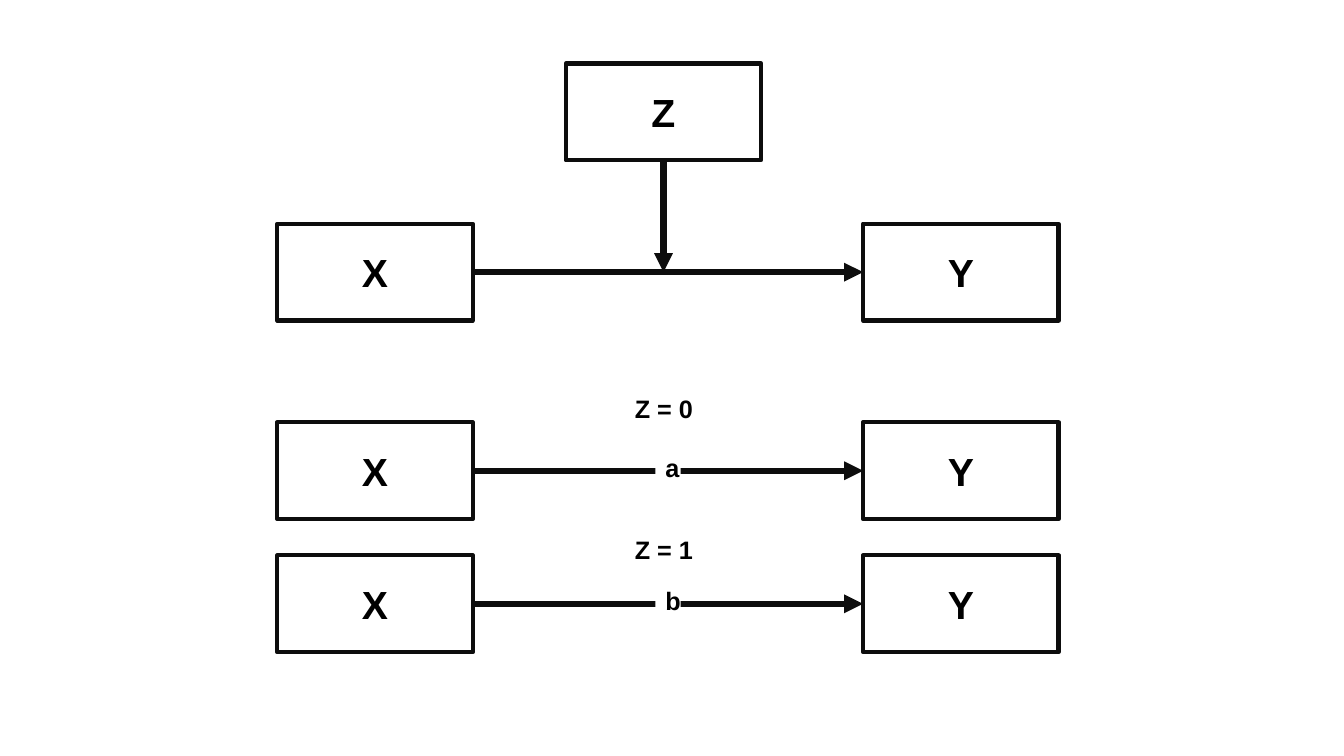
from dataclasses import dataclass

from lxml import etree
from pptx import Presentation
from pptx.dml.color import RGBColor
from pptx.enum.shapes import MSO_CONNECTOR, MSO_SHAPE
from pptx.enum.text import MSO_ANCHOR, MSO_AUTO_SIZE, PP_ALIGN
from pptx.oxml.ns import qn
from pptx.shapes.autoshape import Shape
from pptx.shapes.connector import Connector
from pptx.slide import Slide
from pptx.util import Inches, Pt

RECT = MSO_SHAPE.RECTANGLE
STRAIGHT = MSO_CONNECTOR.STRAIGHT
CENTER = PP_ALIGN.CENTER
MIDDLE = MSO_ANCHOR.MIDDLE
FIT_SHAPE = MSO_AUTO_SIZE.SHAPE_TO_FIT_TEXT
LEFT, BOTTOM, RIGHT = 1, 2, 3

SLIDE_W, SLIDE_H = Inches(13.33), Inches(7.5)


@dataclass(frozen=True)
class Theme:
    font: str = "Arial"
    ink: RGBColor = RGBColor(0x0D, 0x0D, 0x0D)
    text: RGBColor = RGBColor(0, 0, 0)
    paper: RGBColor = RGBColor(0xFF, 0xFF, 0xFF)
    node_size: Pt = Pt(28)
    label_size: Pt = Pt(18)
    border: Pt = Pt(3)
    arrow: Pt = Pt(4.5)


@dataclass(frozen=True)
class Effect:
    top: float
    caption: str = ""
    caption_top: float = 0
    tag: str = ""


THEME = Theme()

X_LEFT, Z_LEFT, Y_LEFT = 20.63, 42.09, 64.22
NODE_W, NODE_H = 14.55, 12.8
CAPTION_LEFT, CAPTION_W = 24.38, 50.04
TAG_LEFT, TAG_W, TAG_DROP = 48.76, 1.88, 3.33
LABEL_H = 5.33
Z_TOP = 8.4

MODERATED = Effect(29.6)
EFFECTS = [
    Effect(55.87, "Z = 0", 51.33, "a"),
    Effect(73.47, "Z = 1", 70, "b"),
    MODERATED,
]


def across(percent: float) -> int:
    return round(SLIDE_W * percent / 100)


def down(percent: float) -> int:
    return round(SLIDE_H * percent / 100)


def write(sp: Shape, text: str, size: Pt) -> None:
    tf = sp.text_frame
    tf.word_wrap = True
    p = tf.paragraphs[0]
    p.text = text
    p.alignment = CENTER
    p.font.name = THEME.font
    p.font.size = size
    p.font.bold = True
    p.font.color.rgb = THEME.text


def add_rect(s: Slide, left: float, top: float, width: float, height: float) -> Shape:
    sp = s.shapes.add_shape(RECT, across(left), down(top), across(width), down(height))
    sp.shadow.inherit = False
    sp.fill.solid()
    sp.fill.fore_color.rgb = THEME.paper
    return sp


def add_node(s: Slide, name: str, left: float, top: float) -> Shape:
    sp = add_rect(s, left, top, NODE_W, NODE_H)
    sp.line.color.rgb = THEME.ink
    sp.line.width = THEME.border
    write(sp, name, THEME.node_size)
    sp.text_frame.vertical_anchor = MIDDLE
    return sp


def add_arrow(s: Slide, x1: float, y1: float, x2: float, y2: float) -> Connector:
    arrow = s.shapes.add_connector(STRAIGHT, across(x1), down(y1), across(x2), down(y2))
    arrow.line.color.rgb = THEME.ink
    arrow.line.width = THEME.arrow
    etree.SubElement(arrow.line._get_or_add_ln(), qn("a:tailEnd"), type="triangle")
    etree.SubElement(arrow._element.spPr, qn("a:effectLst"))
    return arrow


def add_effect(s: Slide, effect: Effect) -> None:
    middle = effect.top + NODE_H / 2
    arrow = add_arrow(s, X_LEFT + NODE_W, middle, Y_LEFT, middle)
    arrow.begin_connect(add_node(s, "X", X_LEFT, effect.top), RIGHT)
    arrow.end_connect(add_node(s, "Y", Y_LEFT, effect.top), LEFT)


def add_moderator(s: Slide) -> None:
    node = add_node(s, "Z", Z_LEFT, Z_TOP)
    center = Z_LEFT + NODE_W / 2
    arrow = add_arrow(s, center, Z_TOP + NODE_H, center, MODERATED.top + NODE_H / 2)
    arrow.begin_connect(node, BOTTOM)


def add_labels(s: Slide, effect: Effect) -> None:
    caption = s.shapes.add_textbox(
        across(CAPTION_LEFT), down(effect.caption_top), across(CAPTION_W), down(LABEL_H)
    )
    tag = add_rect(s, TAG_LEFT, effect.top + TAG_DROP, TAG_W, LABEL_H)
    tag.line.fill.background()
    tag.text_frame.vertical_anchor = MSO_ANCHOR.TOP
    for sp, text in ((caption, effect.caption), (tag, effect.tag)):
        write(sp, text, THEME.label_size)
        sp.text_frame.auto_size = FIT_SHAPE


def main() -> None:
    prs = Presentation()
    prs.slide_width, prs.slide_height = SLIDE_W, SLIDE_H
    s = prs.slides.add_slide(prs.slide_layouts[6])
    for effect in EFFECTS:
        add_effect(s, effect)
    add_moderator(s)
    for effect in EFFECTS:
        if effect.caption:
            add_labels(s, effect)
    prs.save("out.pptx")


if __name__ == "__main__":
    main()
